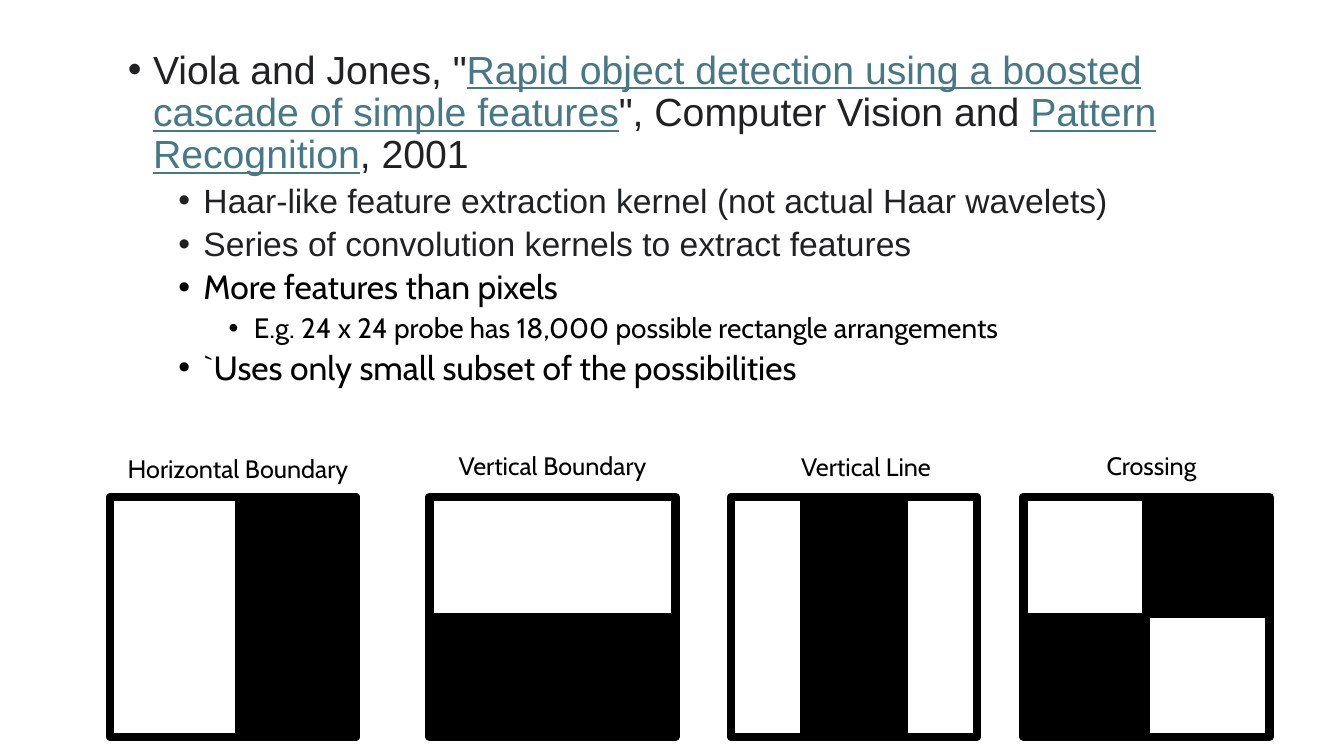
from lxml import etree
from pptx import Presentation
from pptx.dml.color import RGBColor
from pptx.enum.shapes import MSO_SHAPE as SHAPE
from pptx.enum.text import PP_ALIGN as ALIGN
from pptx.oxml.ns import qn
from pptx.util import Inches, Pt

INK, LINK, BLACK, WHITE = "202122", "467886", "000000", "FFFFFF"
KERNEL_TOP, KERNEL_W, KERNEL_H = 4.93, 2.44, 2.38
HALF_H = 1.16

CITATION = [
    ('Viola and Jones, "', INK),
    ("Rapid object detection using a boosted cascade of simple features", LINK),
    ('", Computer Vision and ', INK),
    ("Pattern Recognition", LINK),
    (", 2001", INK),
]
POINTS = [
    (1, "Haar-like feature extraction kernel (not actual Haar wavelets)", "Arial", INK),
    (1, "Series of convolution kernels to extract features", "Arial", INK),
    (1, "More features than pixels", "Cabin", BLACK),
    (2, "E.g. 24 x 24 probe has 18,000 possible rectangle arrangements", "Cabin", BLACK),
    (1, "`Uses only small subset of the possibilities", "Cabin", BLACK),
]
KERNELS = [
    (1.09, "Horizontal Boundary", 1.09, 4.45, [(1.28, 0, 1.16, KERNEL_H)]),
    (4.26, "Vertical Boundary", 4.21, 4.42, [(0.04, 1.19, 2.38, HALF_H)]),
    (7.25, "Vertical Line", 7.32, 4.43, [(0.73, 0, 0.98, KERNEL_H)]),
    (10.15, "Crossing", 10.15, 4.42,
     [(0, 1.19, 1.21, HALF_H), (1.22, 0, 1.19, HALF_H)]),
]


def rgb(value):
    return RGBColor.from_string(value)


def add_run(p, text, size=18, font="Cabin", color=BLACK, underline=False):
    r = p.add_run()
    r.text = text
    r.font.size = Pt(size)
    r.font.name = font
    r.font.color.rgb = rgb(color)
    r.font.underline = underline


def add_textbox(s, x, y, w, h):
    tf = s.shapes.add_textbox(Inches(x), Inches(y), Inches(w), Inches(h)).text_frame
    tf.word_wrap = True
    return tf


def format_bullet(p, level, before):
    p.level = level
    p.line_spacing = 0.9
    p.space_before = Pt(before)
    pPr = p._p.get_or_add_pPr()
    pPr.set("marL", str(Inches(0.25 + 0.5 * level)))
    pPr.set("indent", str(Inches(-0.25)))
    etree.SubElement(pPr, qn("a:buFont")).set("typeface", "Arial")
    etree.SubElement(pPr, qn("a:buChar")).set("char", "•")


def add_points(s):
    tf = add_textbox(s, 1.17, 0.45, 11.5, 4.76)
    p = tf.paragraphs[0]
    format_bullet(p, 0, 10)
    for text, color in CITATION:
        add_run(p, text, size=28, font="Arial", color=color, underline=color == LINK)
    for level, text, font, color in POINTS:
        p = tf.add_paragraph()
        format_bullet(p, level, 5)
        add_run(p, text, size=28 - 4 * level, font=font, color=color)


def add_rect(s, x, y, w, h, fill):
    sp = s.shapes.add_shape(SHAPE.RECTANGLE, Inches(x), Inches(y), Inches(w), Inches(h))
    sp.shadow.inherit = False
    sp.fill.solid()
    sp.fill.fore_color.rgb = rgb(fill)
    sp.line.color.rgb = rgb(BLACK)
    sp.line.width = Pt(6)


def add_label(s, x, y, text):
    p = add_textbox(s, x, y, 2.54, 0.4).paragraphs[0]
    p.alignment = ALIGN.CENTER
    add_run(p, text)


def add_kernel(s, x, label, label_x, label_y, dark_areas):
    add_rect(s, x, KERNEL_TOP, KERNEL_W, KERNEL_H, WHITE)
    for dx, dy, w, h in dark_areas:
        add_rect(s, x + dx, KERNEL_TOP + dy, w, h, BLACK)
    add_label(s, label_x, label_y, label)


def main():
    prs = Presentation()
    prs.slide_width, prs.slide_height = Inches(13.33), Inches(7.5)
    s = prs.slides.add_slide(prs.slide_layouts[6])
    add_points(s)
    for kernel in KERNELS:
        add_kernel(s, *kernel)
    prs.save("out.pptx")


if __name__ == "__main__":
    main()
